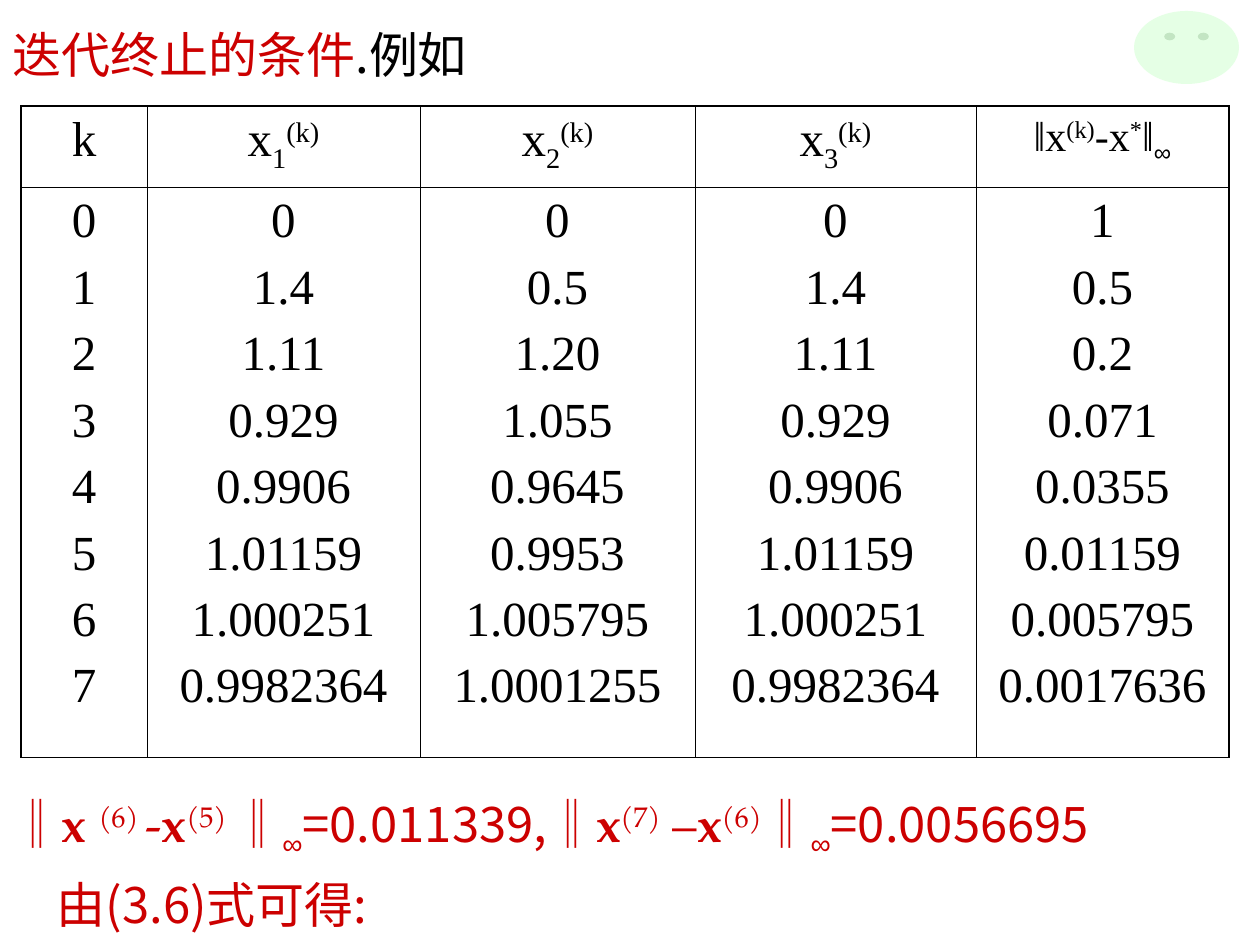
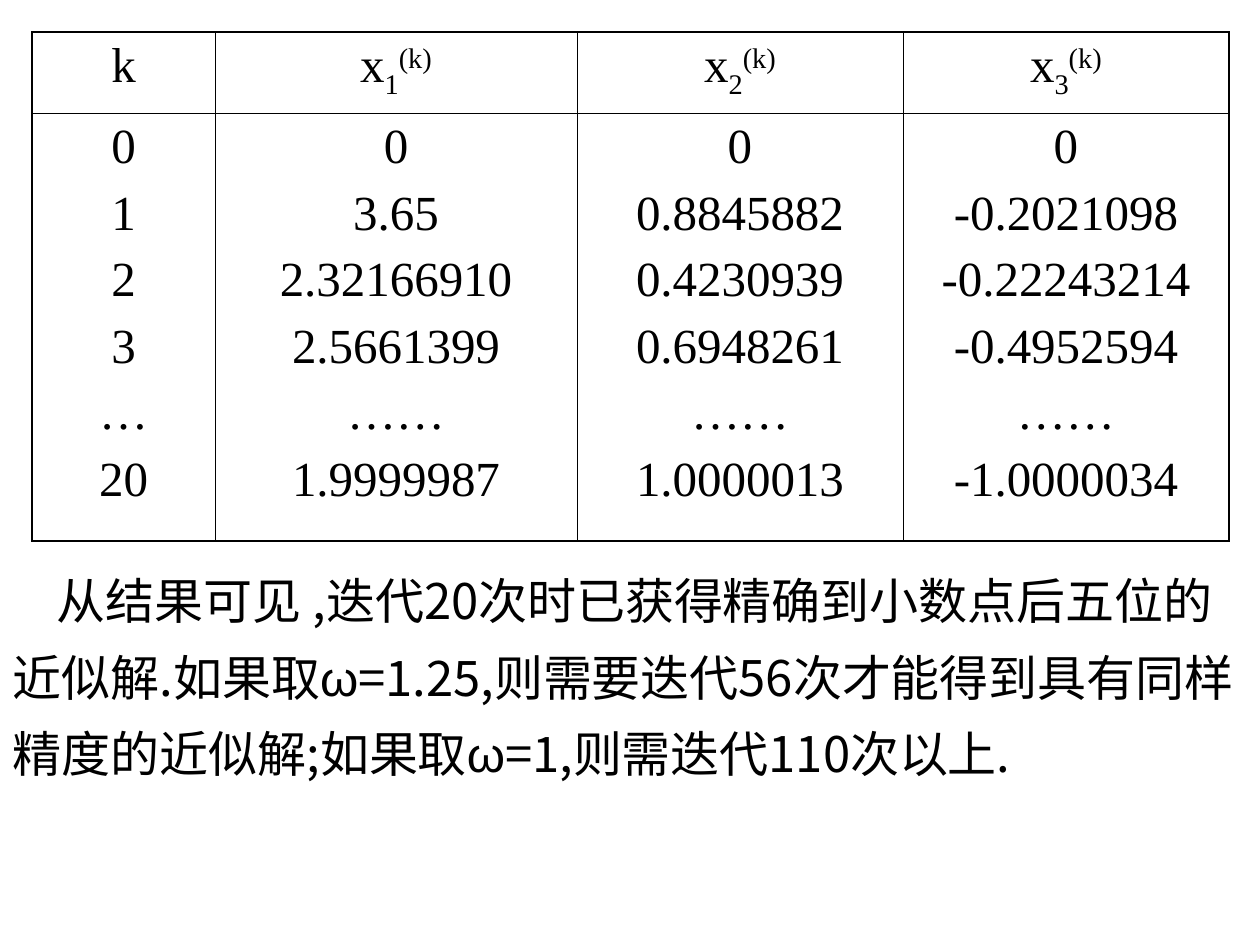
from lxml import etree
from pptx import Presentation
from pptx.dml.color import RGBColor
from pptx.enum.shapes import MSO_SHAPE
from pptx.enum.text import PP_ALIGN
from pptx.oxml.ns import qn
from pptx.util import Pt

SMILEY = MSO_SHAPE.SMILEY_FACE
CENTER = PP_ALIGN.CENTER
COLORS = {"ink": "000000", "accent": "CC0000", "smiley": "CCFFCC"}
SANS, SERIF, MATH, SYMBOL = "Noto Sans CJK SC", "Times New Roman", "TeX Gyre Pagella", "Arial"
SUBSCRIPT, SUPERSCRIPT = -25, 30
OUTER_LINE, INNER_LINE = 1.08, 0.45
SLIDE_WIDTH, SLIDE_HEIGHT = 1260, 945
INSET_X, INSET_Y = 13, 7
INDENT = 44


def px(length):
    return round(length * 914400 / 126)


def add_text(paragraph, text, font=SANS, size=28, color="ink", bold=False, base=0):
    """Append one formatted run to a paragraph."""
    run = paragraph.add_run()
    run.text = text
    run.font.size = Pt(size)
    run.font.bold = bold
    run.font.color.rgb = RGBColor.from_string(COLORS[color])
    run.font.name = font
    properties = run.font._element
    etree.SubElement(properties, qn("a:ea"), typeface=font)
    if base:
        properties.set("baseline", str(base * 1000))


def set_margins(holder):
    """Give a text frame or a table cell the shared insets."""
    holder.margin_left = holder.margin_right = px(INSET_X)
    holder.margin_top = holder.margin_bottom = px(INSET_Y)


def add_paragraph_box(slide, box, runs, indent=0):
    """A text box with one paragraph; runs are (text, format) pairs."""
    shape = slide.shapes.add_textbox(*map(px, box))
    frame = shape.text_frame
    frame.word_wrap = True
    set_margins(frame)
    paragraph = frame.paragraphs[0]
    paragraph.line_spacing = 1.3
    if indent:
        paragraph._p.get_or_add_pPr().set("indent", str(px(indent)))
    for text, style in runs:
        add_text(paragraph, text, **style)


def set_borders(cell, widths):
    """Draw the left, right, top and bottom borders, widths in points."""
    properties = cell._tc.get_or_add_tcPr()
    for side, width in zip("LRTB", widths):
        line = etree.SubElement(properties, qn(f"a:ln{side}"), w=str(Pt(width)))
        fill = etree.SubElement(line, qn("a:solidFill"))
        etree.SubElement(fill, qn("a:srgbClr"), val=COLORS["ink"])


def add_iteration_table(slide, left, top, widths, heights, headers, columns):
    """A header row above one tall row that holds each column's values."""
    frame = slide.shapes.add_table(2, len(widths), px(left), px(top),
                                   px(sum(widths)), px(sum(heights)))
    table = frame.table
    table.first_row = table.horz_banding = False
    for row, height in zip(table.rows, heights):
        row.height = px(height)
    last = len(widths) - 1
    for index, width in enumerate(widths):
        table.columns[index].width = px(width)
        values = [[(value, {})] for value in columns[index].split()]
        for row, lines in enumerate(([headers[index]], values)):
            cell = table.cell(row, index)
            outer = (index == 0, index == last, row == 0, row == 1)
            set_borders(cell, [OUTER_LINE if edge else INNER_LINE for edge in outer])
            cell.fill.background()
            set_margins(cell)
            text_frame = cell.text_frame
            for number, runs in enumerate(lines):
                paragraph = text_frame.add_paragraph() if number else text_frame.paragraphs[0]
                paragraph.alignment = CENTER
                if number:
                    paragraph.space_before = Pt(7)
                for text, style in runs:
                    add_text(paragraph, text, **{"font": SERIF, **style})


def add_smiley(slide, box):
    shape = slide.shapes.add_shape(SMILEY, *map(px, box))
    shape.shadow.inherit = False
    shape.adjustments[0] = 0.093
    shape.line.fill.background()
    shape.fill.solid()
    shape.fill.fore_color.rgb = RGBColor.from_string(COLORS["smiley"])
    color = shape._element.spPr.find(qn("a:solidFill"))[0]
    etree.SubElement(color, qn("a:alpha"), val="50000")


def iterate_header(number):
    return [("x", {}), (str(number), {"base": SUBSCRIPT}), ("(k)", {"base": SUPERSCRIPT})]


HEADERS = [[("k", {})]] + [iterate_header(number) for number in (1, 2, 3)]
ERROR_HEADER = [(text, {"size": 24, "base": base}) for text, base in (
    ("‖x", 0), ("(k)", SUPERSCRIPT), ("-x", 0), ("*", SUPERSCRIPT), ("‖", 0))]
ERROR_HEADER.append(("∞", {"size": 24, "font": SYMBOL, "base": SUBSCRIPT}))


def build_stopping_slide(slide):
    red = {"color": "accent"}
    math = {**red, "font": MATH}
    vector = {**math, "bold": True}
    power = {**math, "base": SUPERSCRIPT}
    infinity = {**red, "font": SYMBOL, "base": SUBSCRIPT}

    # Title
    add_paragraph_box(slide, (0, 0, SLIDE_WIDTH, 89), [("迭代终止的条件", red), (".例如", {})])

    # Iterates and their errors
    first = "0 1.4 1.11 0.929 0.9906 1.01159 1.000251 0.9982364"
    add_iteration_table(
        slide, 21, 106, (126, 273, 275, 281, 253), (79, 570), HEADERS + [ERROR_HEADER],
        ("0 1 2 3 4 5 6 7",
         first,
         "0 0.5 1.20 1.055 0.9645 0.9953 1.005795 1.0001255",
         first,
         "1 0.5 0.2 0.071 0.0355 0.01159 0.005795 0.0017636"))

    # Differences between successive iterates
    add_paragraph_box(slide, (0, 766, SLIDE_WIDTH, 100), [
        ("‖", red), ("x ", vector), ("(6) ", power), ("-", math), ("x", vector),
        ("(5) ", power), ("‖", red), ("∞", infinity), ("=0.011339,‖", red),
        ("x", vector), ("(7)", power), (" –", math), ("x", vector), ("(6)", power),
        ("‖", red), ("∞", infinity), ("=0.0056695", red)])
    add_paragraph_box(slide, (0, 850, SLIDE_WIDTH, 89), [("由(3.6)式可得:", red)], INDENT)

    add_smiley(slide, (1134, 11, 105, 73))


def build_result_slide(slide):
    # Iterates
    add_iteration_table(
        slide, 32, 32, (183, 362, 326, 326), (79, 427), HEADERS,
        ("0 1 2 3 … 20",
         "0 3.65 2.32166910 2.5661399 …… 1.9999987",
         "0 0.8845882 0.4230939 0.6948261 …… 1.0000013",
         "0 -0.2021098 -0.22243214 -0.4952594 …… -1.0000034"))

    # Conclusion
    omega = ("ω", {"font": SYMBOL})
    add_paragraph_box(slide, (0, 546, SLIDE_WIDTH, 242), [
        ("从结果可见 ,迭代20次时已获得精确到小数点后五位的近似解.如果取", {}), omega,
        ("=1.25,则需要迭代56次才能得到具有同样精度的近似解;如果取", {}), omega,
        ("=1,则需迭代110次以上.", {})], INDENT)


def main():
    presentation = Presentation()
    presentation.slide_width = px(SLIDE_WIDTH)
    presentation.slide_height = px(SLIDE_HEIGHT)
    blank = presentation.slide_layouts[6]
    for build in (build_stopping_slide, build_result_slide):
        build(presentation.slides.add_slide(blank))
    presentation.save("out.pptx")


if __name__ == "__main__":
    main()
